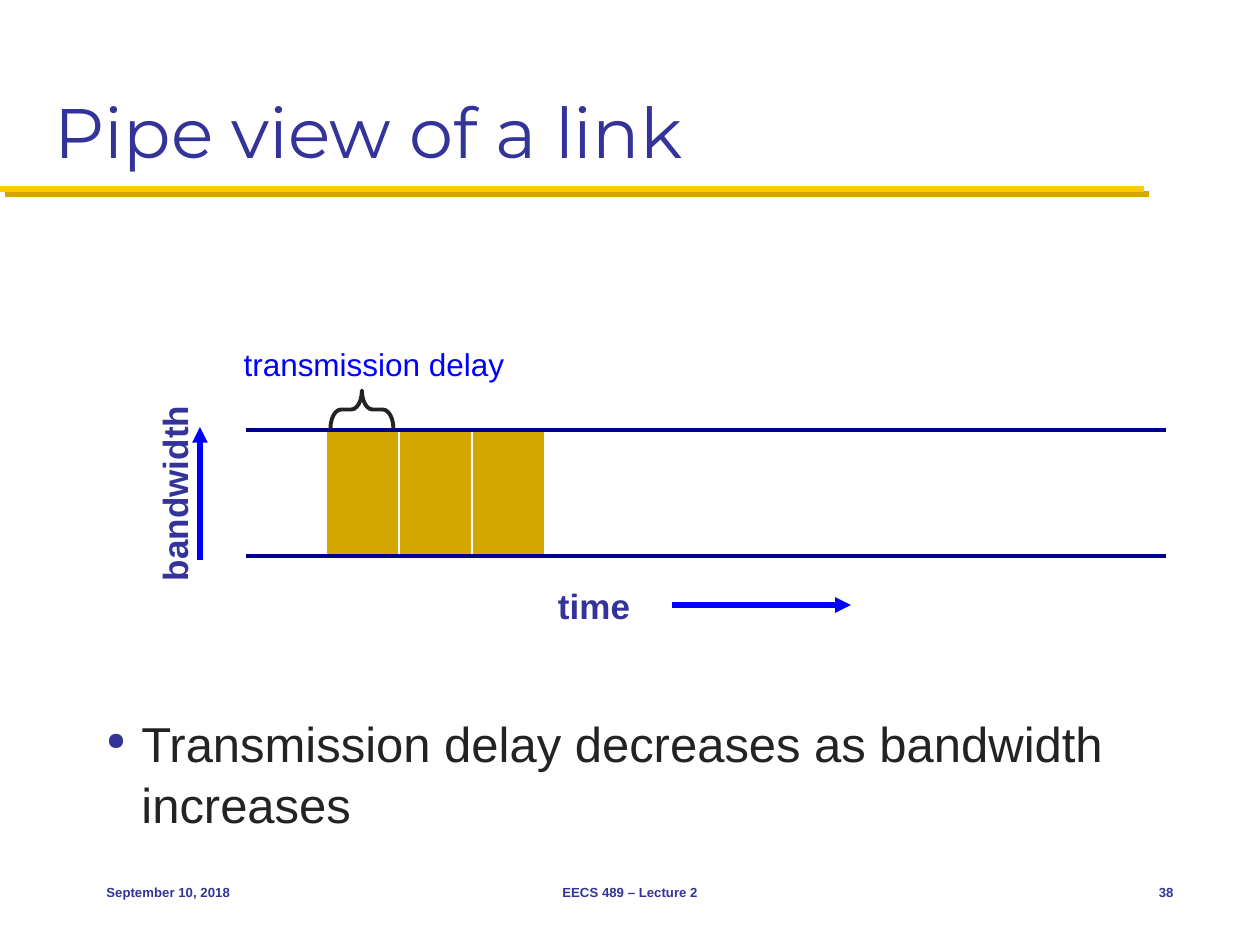
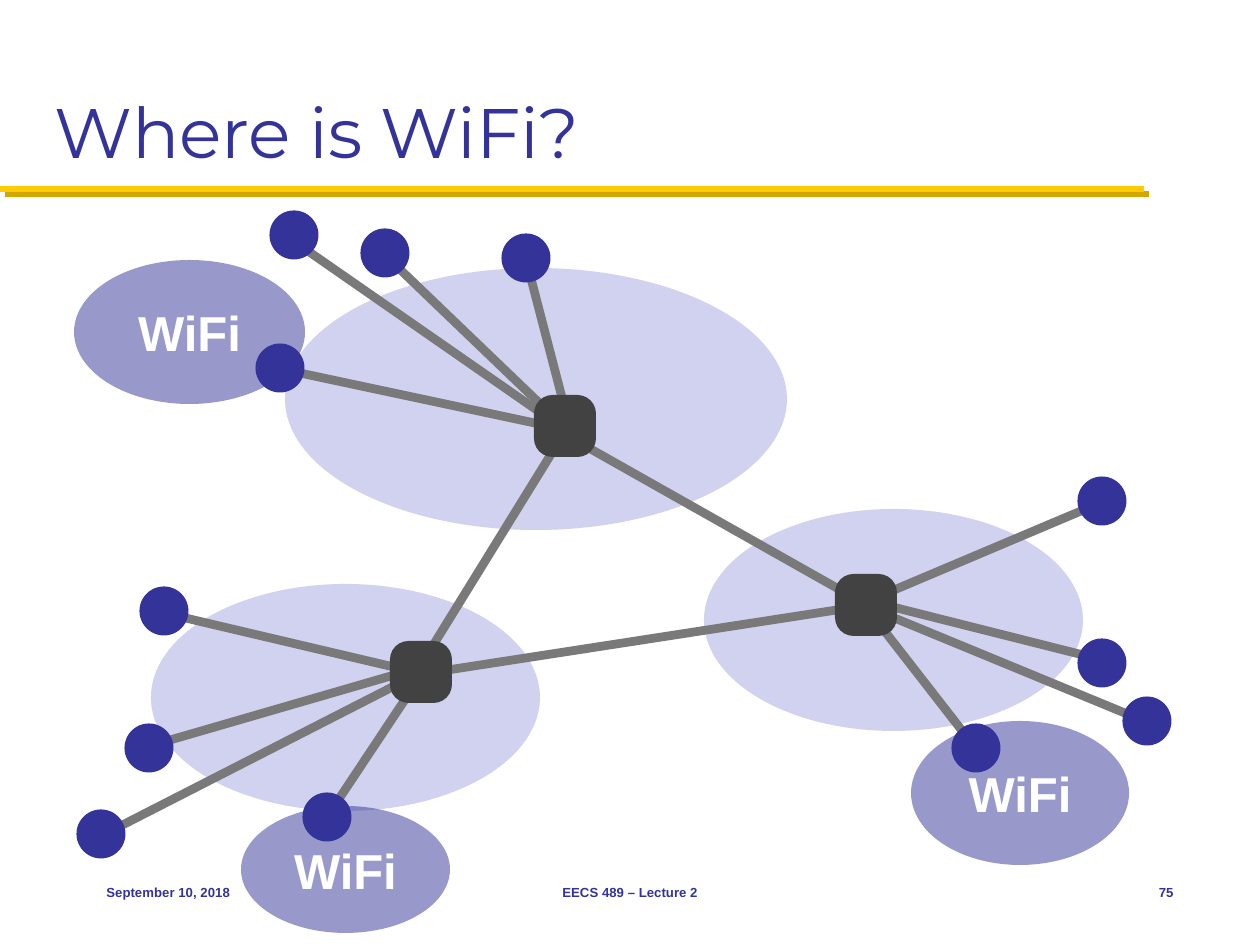
"""Build two lecture slides: the pipe view of a link and the place of WiFi."""
from dataclasses import dataclass

from pptx import Presentation
from pptx.dml.color import RGBColor
from pptx.enum.shapes import MSO_CONNECTOR as Connector, MSO_SHAPE as Preset
from pptx.enum.text import MSO_ANCHOR as Anchor, MSO_AUTO_SIZE as AutoSize, PP_ALIGN as Align
from pptx.oxml.ns import qn
from pptx.util import Emu, Pt


@dataclass(frozen=True)
class Theme:
    """Colours, fonts and type sizes shared by the slides."""
    indigo: str = "333399"
    ink: str = "232323"
    white: str = "FFFFFF"
    maize: str = "FFCB05"
    gold: str = "D3A600"
    navy: str = "000090"
    blue: str = "0000FF"
    lavender: str = "D1D1F0"
    link_grey: str = "797979"
    router_grey: str = "424242"
    title_font: str = "Montserrat"
    body_font: str = "Arial"
    title_size: float = 40
    body_size: float = 28
    axis_size: float = 20
    label_size: float = 18
    footer_size: float = 7.5


THEME = Theme()
PX_PER_INCH = 126
HOST_SIZE = 49
ROUTER_SIZE = 62

ZONES = [(704, 509, 379, 222), (285, 268, 502, 262), (151, 584, 389, 227)]
WIFI_AREAS = [(241, 806, 209, 127), (911, 721, 218, 144), (74, 260, 231, 144)]
ROUTERS = [(534, 395), (390, 641), (835, 574)]
TRUNKS = [
    ((557, 430), (867, 605)),
    ((566, 430), (421, 665)),
    ((869, 605), (422, 674)),
]
HOST_LINKS = [
    ((526, 258), (528, 267), (571, 432)),
    ((294, 235), (295, 242), (554, 422)),
    ((385, 253), (386, 256), (558, 421)),
    ((280, 368), (281, 369), (558, 428)),
    ((164, 611), (160, 612), (415, 672)),
    ((149, 748), (146, 747), (415, 669)),
    ((101, 834), (97, 838), (412, 677)),
    ((327, 817), (331, 811), (420, 677)),
    ((1102, 501), (1100, 503), (861, 604)),
    ((1102, 663), (1099, 659), (869, 601)),
    ((1147, 721), (1149, 723), (863, 605)),
    ((976, 748), (974, 746), (869, 611)),
]


def px(*lengths):
    """Turn pixel lengths into a list of EMU lengths."""
    return [Emu(round(length * 914400 / PX_PER_INCH)) for length in lengths]


def color(code):
    """Return the RGB colour for a hex code."""
    return RGBColor.from_string(code)


def write(paragraph, text, size, code, font=THEME.body_font, bold=False, align=Align.LEFT):
    """Add one formatted run to a paragraph."""
    paragraph.alignment = align
    run = paragraph.add_run()
    run.text = text
    run.font.name = font
    run.font.size = Pt(size)
    run.font.bold = bold
    run.font.color.rgb = color(code)


def add_text(slide, box, text, size, code, bold=False, align=Align.CENTER,
             anchor=Anchor.MIDDLE):
    """Add a wrapping text box with one paragraph and return it."""
    text_box = slide.shapes.add_textbox(*px(*box))
    frame = text_box.text_frame
    frame.word_wrap = True
    frame.vertical_anchor = anchor
    write(frame.paragraphs[0], text, size, code, bold=bold, align=align)
    return text_box


def add_line(slide, start, end, code, width, arrow=False):
    """Add a straight line, with an arrowhead at its end if wanted."""
    line = slide.shapes.add_connector(Connector.STRAIGHT, *px(*start, *end))
    line.line.color.rgb = color(code)
    line.line.width = Pt(width)
    properties = line._element.spPr
    if arrow:
        head = line.line._get_or_add_ln().makeelement(qn("a:tailEnd"), {"type": "triangle"})
        line.line._get_or_add_ln().append(head)
    properties.append(properties.makeelement(qn("a:effectLst"), {}))


def add_shape(slide, preset, box, fill=None, outline=None, width=0.75):
    """Add a flat preset shape with an optional fill and outline."""
    shape = slide.shapes.add_shape(preset, *px(*box))
    shape.shadow.inherit = False
    if fill:
        shape.fill.solid()
        shape.fill.fore_color.rgb = color(fill)
    else:
        shape.fill.background()
    if outline:
        shape.line.color.rgb = color(outline)
        shape.line.width = Pt(width)
    else:
        shape.line.fill.background()
    return shape


def add_bullet(slide, box, text):
    """Add a bulleted statement with a hanging indent."""
    text_box = add_text(slide, box, text, THEME.body_size, THEME.ink,
                        align=Align.LEFT, anchor=Anchor.TOP)
    paragraph = text_box.text_frame.paragraphs[0]
    paragraph.line_spacing = 1.05
    properties = paragraph._p.get_or_add_pPr()
    indent = px(35)[0]
    properties.set("marL", str(indent))
    properties.set("indent", str(-indent))
    bullet_color = properties.makeelement(qn("a:buClr"), {})
    bullet_color.append(bullet_color.makeelement(qn("a:srgbClr"), {"val": THEME.indigo}))
    properties.append(bullet_color)
    properties.append(properties.makeelement(qn("a:buSzPct"), {"val": "50000"}))
    properties.append(properties.makeelement(qn("a:buChar"), {"char": "●"}))


def add_wifi_area(slide, box):
    """Add a half-transparent WiFi coverage ellipse with its label."""
    area = add_shape(slide, Preset.OVAL, box, THEME.indigo)
    fill_color = area._element.spPr.find(qn("a:solidFill"))[0]
    fill_color.append(fill_color.makeelement(qn("a:alpha"), {"val": "50000"}))
    frame = area.text_frame
    frame.margin_left = frame.margin_right = frame.margin_top = frame.margin_bottom = 0
    frame.vertical_anchor = Anchor.MIDDLE
    write(frame.paragraphs[0], "WiFi", THEME.body_size, THEME.white, bold=True,
          align=Align.CENTER)


def add_lecture_slide(presentation, title, number):
    """Add a slide with the shared title, double rule and footer."""
    slide = presentation.slides.add_slide(presentation.slide_layouts[5])
    add_line(slide, (5, 194), (1149, 194), THEME.gold, 3.5)
    add_line(slide, (0, 189), (1144, 189), THEME.maize, 3.5)

    heading = slide.shapes.title
    heading.left, heading.top, heading.width, heading.height = px(42, 21, 1176, 158)
    frame = heading.text_frame
    frame.auto_size = AutoSize.NONE
    frame.vertical_anchor = Anchor.BOTTOM
    write(frame.paragraphs[0], title, THEME.title_size, THEME.indigo, THEME.title_font)

    footers = [
        (94, 263, "September 10, 2018", Align.LEFT),
        (430, 400, "EECS 489 – Lecture 2", Align.CENTER),
        (1102, 84, str(number), Align.RIGHT),
    ]
    for left, width, text, align in footers:
        add_text(slide, (left, 861, width, 63), text, THEME.footer_size, THEME.indigo,
                 bold=True, align=align)
    return slide


def build_pipe_slide(presentation):
    """Show packets travelling in a pipe of time by bandwidth."""
    slide = add_lecture_slide(presentation, "Pipe view of a link", 38)
    pipe_top, pipe_height, packet_width = 430, 126, 73
    for index in range(3):
        packet = (326 + index * packet_width, pipe_top, packet_width, pipe_height)
        add_shape(slide, Preset.RECTANGLE, packet, THEME.gold, THEME.white)
    for edge in (pipe_top, pipe_top + pipe_height):
        add_line(slide, (246, edge), (1166, edge), THEME.navy, 2.25)

    add_text(slide, (534, 578, 120, 55), "time", THEME.axis_size, THEME.indigo, bold=True)
    add_line(slide, (672, 605), (851, 605), THEME.blue, 3, arrow=True)
    bandwidth = add_text(slide, (64, 466, 220, 55), "bandwidth", THEME.axis_size,
                         THEME.indigo, bold=True)
    bandwidth.rotation = 270
    add_line(slide, (200, 560), (200, 427), THEME.blue, 3, arrow=True)

    brace = add_shape(slide, Preset.RIGHT_BRACE, (343, 378, 38, 63),
                      outline=THEME.ink, width=2.25)
    brace.adjustments[0] = 0.28
    brace.rotation = 270
    add_text(slide, (219, 339, 310, 50), "transmission delay", THEME.label_size, THEME.blue)
    add_bullet(slide, (94, 704, 1092, 130),
               "Transmission delay decreases as bandwidth increases")


def build_wifi_slide(presentation):
    """Show WiFi areas at the edge of three linked networks."""
    slide = add_lecture_slide(presentation, "Where is WiFi?", 75)
    for zone in ZONES:
        add_shape(slide, Preset.OVAL, zone, THEME.lavender)
    for start, end in [link[1:] for link in HOST_LINKS] + TRUNKS:
        add_line(slide, start, end, THEME.link_grey, 5)
    for (center_x, center_y), _, _ in HOST_LINKS:
        host = (center_x - HOST_SIZE / 2, center_y - HOST_SIZE / 2, HOST_SIZE, HOST_SIZE)
        add_shape(slide, Preset.OVAL, host, THEME.indigo)
    for left, top in ROUTERS:
        router = add_shape(slide, Preset.ROUNDED_RECTANGLE,
                           (left, top, ROUTER_SIZE, ROUTER_SIZE), THEME.router_grey)
        router.adjustments[0] = 0.3
    for area in WIFI_AREAS:
        add_wifi_area(slide, area)


def main():
    """Build and save the presentation."""
    presentation = Presentation()
    presentation.slide_width, presentation.slide_height = px(1260, 945)
    build_pipe_slide(presentation)
    build_wifi_slide(presentation)
    presentation.save("out.pptx")


if __name__ == "__main__":
    main()
